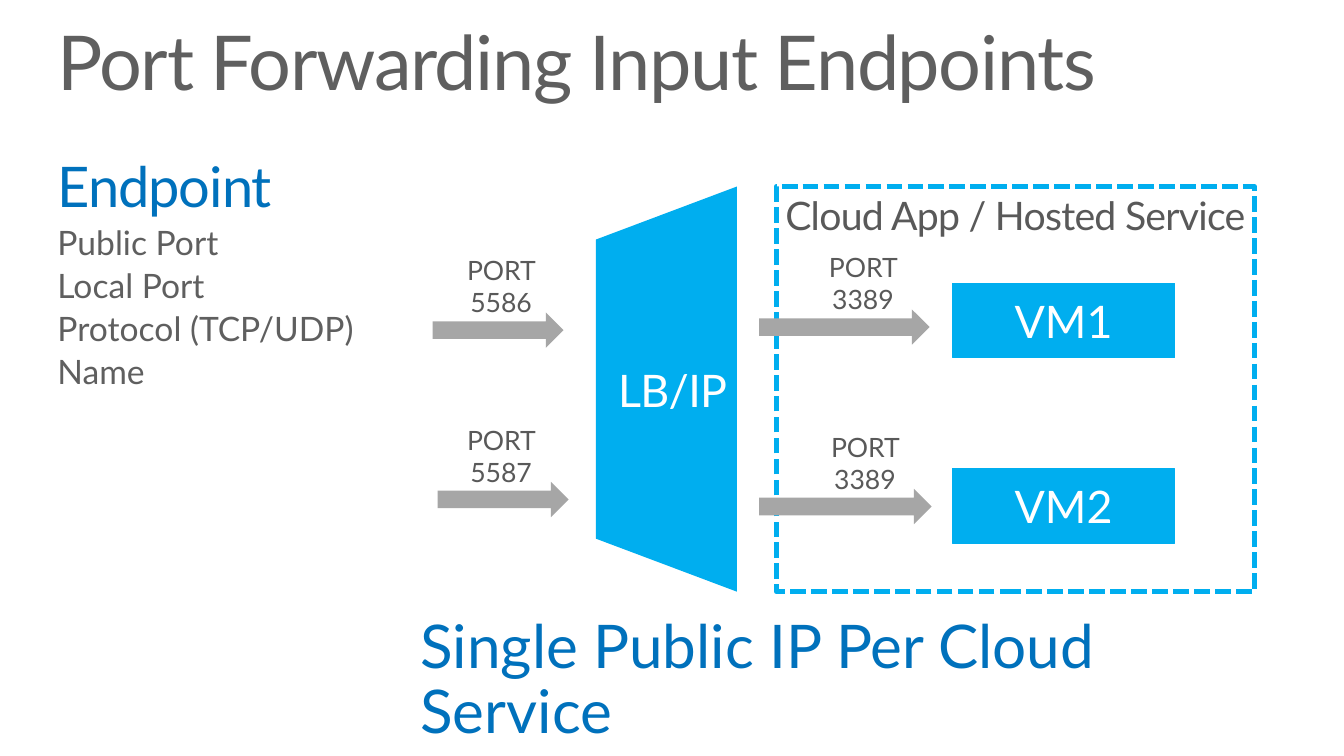
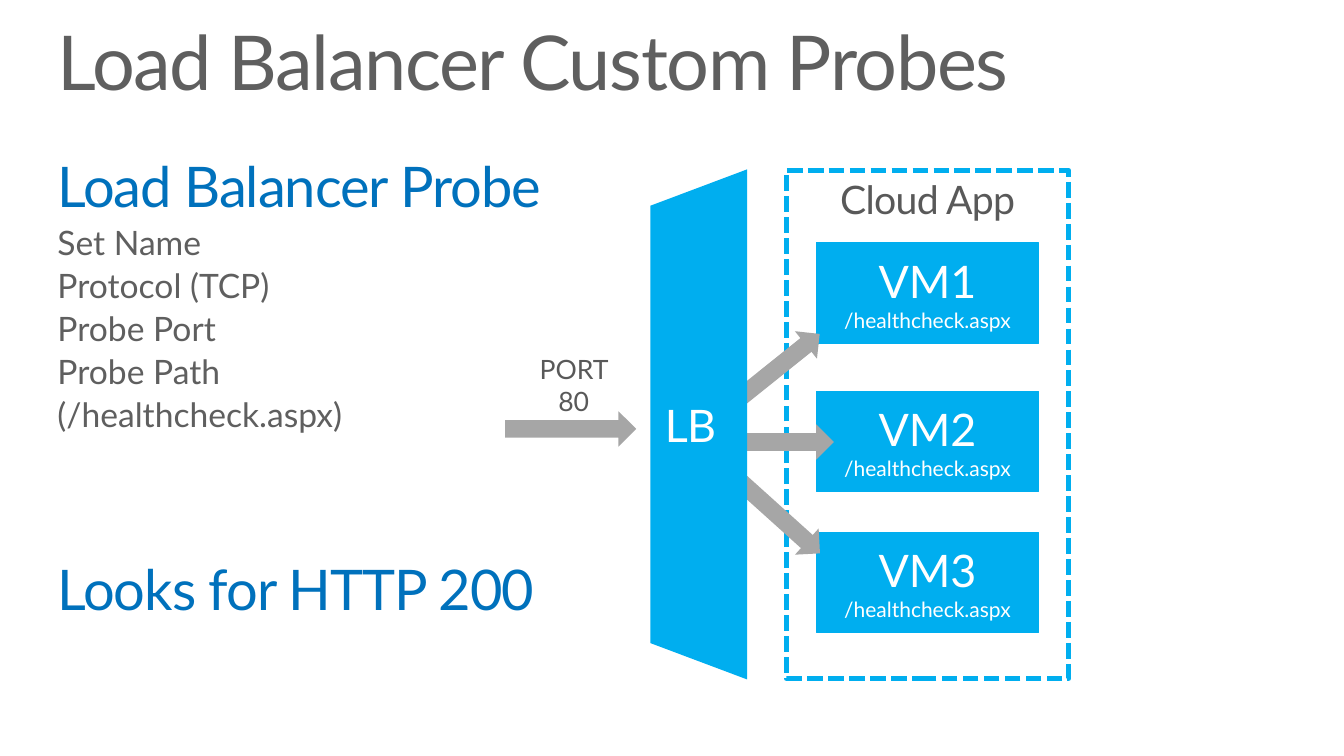
from pptx import Presentation
from pptx.dml.color import RGBColor
from pptx.enum import dml, shapes, text
from pptx.oxml.ns import qn
from pptx.util import Inches, Pt

FONT = "Lato"
SKY = RGBColor(0x00, 0xAE, 0xEF)
BLUE = RGBColor(0x00, 0x71, 0xBC)
GRAY = RGBColor(0x5F, 0x5F, 0x5F)
LABEL_GRAY = RGBColor(0x59, 0x59, 0x59)
ARROW_GRAY = RGBColor(0xA6, 0xA6, 0xA6)
WHITE = RGBColor(0xFF, 0xFF, 0xFF)

TITLE_BOX = (0.57, 0.25, 12.19, 0.83)
BODY_BOX = (0.57, 1.58, 12.19, 2.23)
ARROW_HEIGHT = 0.35
VM_WIDTH = 2.2


def place(shape, box):
    shape.left, shape.top, shape.width, shape.height = map(Inches, box)


def set_frame(frame, margin, anchor=text.MSO_ANCHOR.TOP):
    frame.word_wrap = True
    frame.vertical_anchor = anchor
    frame.margin_left = frame.margin_right = Inches(margin)
    frame.margin_top = frame.margin_bottom = Inches(margin)


def style(paragraph, size, color, tracking=0, align=text.PP_ALIGN.LEFT):
    """Format a paragraph's runs; tracking is letter spacing in points."""
    paragraph.alignment = align
    for run in paragraph.runs:
        run.font.name = FONT
        run.font.size = Pt(size)
        run.font.color.rgb = color
        if tracking:
            run.font._element.set("spc", str(round(tracking * 100)))


def add_preset(slide, preset, box, fill=None):
    shape = slide.shapes.add_shape(preset, *map(Inches, box))
    shape.shadow.inherit = False
    shape.line.fill.background()
    if fill is None:
        shape.fill.background()
    else:
        shape.fill.solid()
        shape.fill.fore_color.rgb = fill
    return shape


def add_title(slide, title):
    shape = slide.shapes.title
    place(shape, TITLE_BOX)
    frame = shape.text_frame
    frame.text = title
    set_frame(frame, 0)
    frame.auto_size = text.MSO_AUTO_SIZE.SHAPE_TO_FIT_TEXT
    frame.paragraphs[0].line_spacing = 0.9
    style(frame.paragraphs[0], 54, GRAY, -1)


def add_body(slide, heading, items, closing=None):
    """Blue heading, plain list and an optional blue closing line."""
    shape = slide.placeholders[1]
    place(shape, BODY_BOX)
    frame = shape.text_frame
    set_frame(frame, 0)
    frame.auto_size = text.MSO_AUTO_SIZE.SHAPE_TO_FIT_TEXT
    lines = [heading, *items] + ([closing] if closing else [])
    frame.text = "\n".join(lines)
    for paragraph in frame.paragraphs:
        is_item = paragraph.text in items
        paragraph.level = 1 if is_item else 0
        properties = paragraph._p.get_or_add_pPr()
        properties.set("marL", "0")
        properties.set("indent", "0")
        properties.append(properties.makeelement(qn("a:buNone"), {}))
        paragraph.line_spacing = 0.9
        paragraph.space_before = Pt(4.8 if is_item else 0)
        if is_item:
            style(paragraph, 24, GRAY)
        else:
            style(paragraph, 40, BLUE, -0.7)
    if closing:
        frame.paragraphs[-1].space_before = Pt(91)


def add_vm(slide, box, name, detail=None):
    shape = add_preset(slide, shapes.MSO_SHAPE.RECTANGLE, box, SKY)
    shape.line.color.rgb = SKY
    shape.line.width = Pt(0.75)
    frame = shape.text_frame
    set_frame(frame, 0.05, text.MSO_ANCHOR.MIDDLE)
    frame.text = f"{name}\n{detail}" if detail else name
    for paragraph, size in zip(frame.paragraphs, (32, 15)):
        style(paragraph, size, WHITE, align=text.PP_ALIGN.CENTER)


def add_cloud(slide, box, caption, vm_left, vm_tops, vm_height, detail=None):
    """Dashed frame with machines at offsets from its top left corner."""
    left, top = box[:2]
    border = add_preset(slide, shapes.MSO_SHAPE.RECTANGLE, box)
    border.line.color.rgb = SKY
    border.line.width = Pt(3.75)
    border.line.dash_style = dml.MSO_LINE.SQUARE_DOT
    set_frame(border.text_frame, 0.05)
    border.text_frame.text = caption
    style(border.text_frame.paragraphs[0], 28, LABEL_GRAY, -0.5,
          text.PP_ALIGN.CENTER)
    for number, vm_top in enumerate(vm_tops, 1):
        vm_box = (left + vm_left, top + vm_top, VM_WIDTH, vm_height)
        add_vm(slide, vm_box, f"VM{number}", detail)


def add_balancer(slide, box, label):
    """Trapezoid turned to widen rightwards, filling the upright box."""
    left, top, width, height = box
    shift = (height - width) / 2
    shape = add_preset(slide, shapes.MSO_SHAPE.TRAPEZOID,
                       (left - shift, top + shift, height, width), SKY)
    shape.rotation = 270
    shape.adjustments[0] = 0.376
    frame = shape.text_frame
    set_frame(frame, 0.05, text.MSO_ANCHOR.MIDDLE)
    frame._txBody.bodyPr.set("vert", "vert")
    frame.text = label
    style(frame.paragraphs[0], 32, WHITE, -0.5)


def add_arrow(slide, left, top, length, rotation=0):
    arrow = add_preset(slide, shapes.MSO_SHAPE.RIGHT_ARROW,
                       (left, top, length, ARROW_HEIGHT), ARROW_GRAY)
    arrow.rotation = rotation


def add_port_arrow(slide, left, top, length, port, label_center):
    """Arrow with a two-line port label; label_center counts from its left."""
    add_arrow(slide, left, top, length)
    width, height = 0.9, 0.72
    label = slide.shapes.add_textbox(
        Inches(left + label_center - width / 2),
        Inches(top - 0.26 - height / 2), Inches(width), Inches(height))
    frame = label.text_frame
    set_frame(frame, 0.05, text.MSO_ANCHOR.MIDDLE)
    frame.text = f"PORT {port}"
    style(frame.paragraphs[0], 19, LABEL_GRAY, align=text.PP_ALIGN.CENTER)


def add_summary(slide, box, summary):
    frame = slide.shapes.add_textbox(*map(Inches, box)).text_frame
    set_frame(frame, 0)
    frame.text = summary
    frame.paragraphs[0].line_spacing = 0.9
    style(frame.paragraphs[0], 43, BLUE)


def build_forwarding(slide):
    add_title(slide, "Port Forwarding Input Endpoints")
    add_body(slide, "Endpoint",
             ["Public Port", "Local Port", "Protocol (TCP/UDP)", "Name"])
    add_cloud(slide, (7.7, 1.85, 4.74, 4.02), "Cloud App / Hosted Service",
              1.75, (0.96, 2.8), 0.74)
    add_balancer(slide, (5.91, 1.85, 1.4, 4.02), "LB/IP")
    for left, top, length, port, label_center in (
            (4.29, 3.1, 1.3, 5586, 0.68),
            (4.34, 4.78, 1.3, 5587, 0.63),
            (7.53, 3.07, 1.69, 3389, 1.03),
            (7.53, 4.85, 1.71, 3389, 1.05)):
        add_port_arrow(slide, left, top, length, port, label_center)
    add_summary(slide, (4.17, 6.12, 8.42, 1.3),
                "Single Public IP Per Cloud Service")


def build_probes(slide):
    add_title(slide, "Load Balancer Custom Probes")
    add_body(slide, "Load Balancer Probe",
             ["Set Name", "Protocol (TCP)", "Probe Port", "Probe Path",
              "(/healthcheck.aspx)"], "Looks for HTTP 200")
    add_cloud(slide, (7.8, 1.69, 2.8, 5.04), "Cloud App",
              0.3, (0.72, 2.19, 3.59), 1, "/healthcheck.aspx")
    add_port_arrow(slide, 5.01, 4.08, 1.3, 80, 0.68)
    for left, top, length, rotation in (
            (7.24, 3.45, 1, 321.3), (7.27, 4.21, 1, 0), (7.13, 4.93, 1.15, 42)):
        add_arrow(slide, left, top, length, rotation)
    add_balancer(slide, (6.45, 1.68, 0.96, 5.06), "LB")


def main():
    presentation = Presentation()
    presentation.slide_width = Inches(13.33)
    presentation.slide_height = Inches(7.5)
    layout = presentation.slide_layouts[1]
    for build in (build_forwarding, build_probes):
        build(presentation.slides.add_slide(layout))
    presentation.save("out.pptx")


if __name__ == "__main__":
    main()
